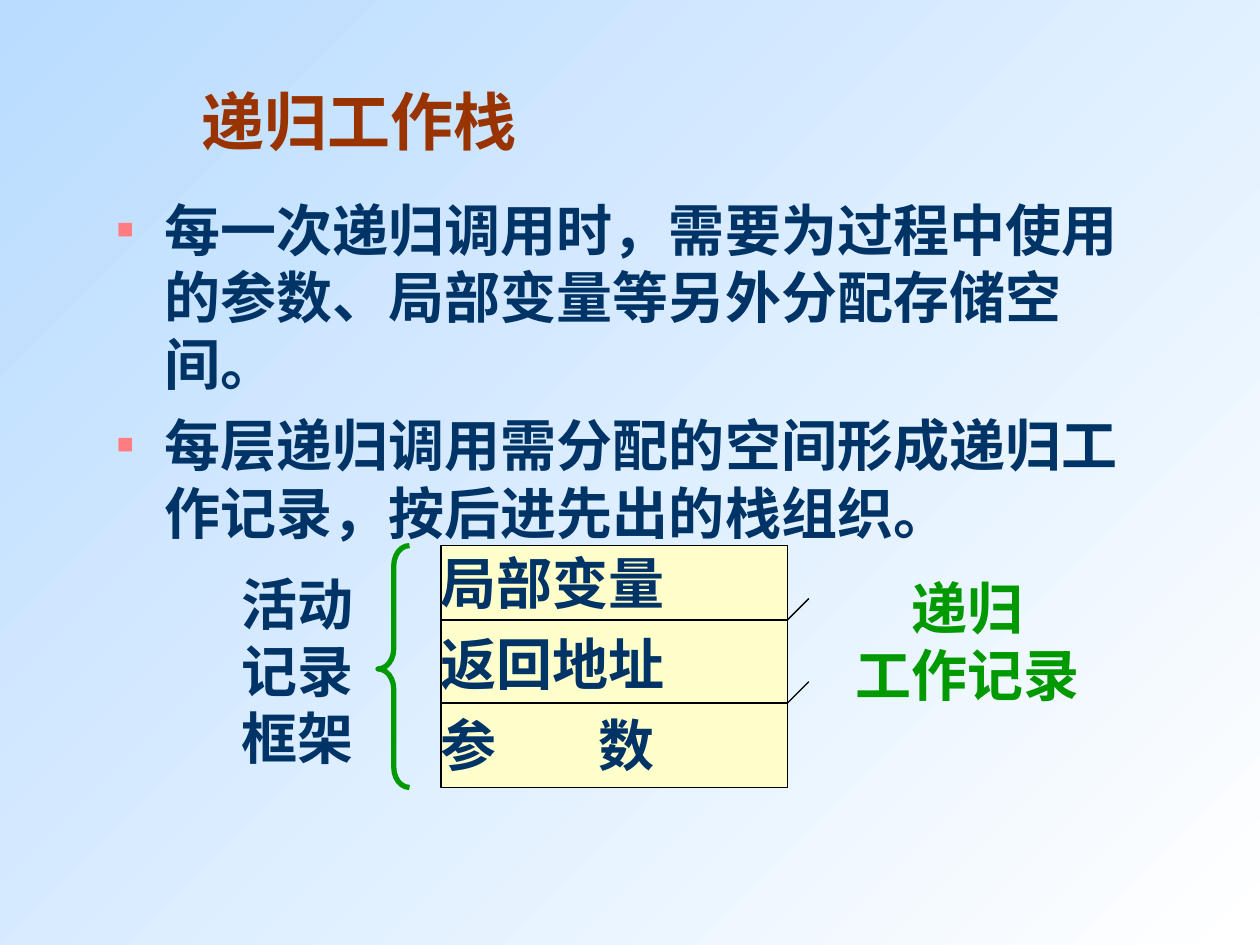
from dataclasses import dataclass

from lxml import etree
from pptx import Presentation
from pptx.dml.color import RGBColor
from pptx.enum.shapes import MSO_CONNECTOR, MSO_SHAPE
from pptx.enum.text import MSO_ANCHOR, PP_ALIGN
from pptx.oxml.ns import qn
from pptx.util import Inches, Pt

STRAIGHT = MSO_CONNECTOR.STRAIGHT
RECTANGLE, LEFT_BRACE = MSO_SHAPE.RECTANGLE, MSO_SHAPE.LEFT_BRACE
TOP, MIDDLE = MSO_ANCHOR.TOP, MSO_ANCHOR.MIDDLE
LEFT, CENTER = PP_ALIGN.LEFT, PP_ALIGN.CENTER


@dataclass(frozen=True)
class Theme:
    """Colours, font and sizes of the slide."""
    font: str = "Times New Roman"
    title_size: float = 36
    text_size: float = 32
    title: str = "993300"
    text: str = "003366"
    accent: str = "009900"
    bullet: str = "FF7C80"
    record: str = "FFFFCC"
    rule: str = "000000"
    sky: tuple = ("B9DCFF", "FFFFFF")
    rule_width: float = 0.75
    brace_width: float = 3


THEME = Theme()


def apply(target, values):
    """Set each attribute of target from a dict."""
    for name, value in values.items():
        setattr(target, name, value)


def add_child(parent, tag, **attributes):
    """Append a DrawingML child element."""
    return etree.SubElement(parent, qn(tag), attributes)


def set_bullet(paragraph):
    """Give a paragraph a small square bullet with a hanging indent."""
    props = paragraph._p.get_or_add_pPr()
    indent = Inches(0.38)
    props.set("marL", str(indent))
    props.set("indent", str(-indent))
    props.set("hangingPunct", "0")
    add_child(add_child(props, "a:buClr"), "a:srgbClr", val=THEME.bullet)
    add_child(props, "a:buSzPct", val="50000")
    add_child(props, "a:buFont", typeface=THEME.font)
    add_child(props, "a:buChar", char="■")


def set_tab(paragraph, position):
    """Add one left tab stop."""
    tabs = add_child(paragraph._p.get_or_add_pPr(), "a:tabLst")
    add_child(tabs, "a:tab", pos=str(position), algn="l")


def add_text(slide, box, lines, color=THEME.text, size=THEME.text_size,
             anchor=TOP, bullets=False, tab=None, gap=0, **layout):
    """Place bold paragraphs in a wrapping text box."""
    frame = slide.shapes.add_textbox(*map(Inches, box)).text_frame
    apply(frame, {"word_wrap": True, "vertical_anchor": anchor})
    for index, line in enumerate(lines):
        paragraph = frame.paragraphs[0] if index == 0 else frame.add_paragraph()
        if bullets:
            set_bullet(paragraph)
        if tab:
            set_tab(paragraph, Inches(tab))
        apply(paragraph, {"space_before": Pt(gap if index else 0), **layout})
        run = paragraph.add_run()
        run.text = line
        apply(run.font, {"name": THEME.font, "size": Pt(size), "bold": True})
        run.font.color.rgb = RGBColor.from_string(color)


def set_line(line, color, width):
    """Colour a line and set its width."""
    line.color.rgb = RGBColor.from_string(color)
    line.width = Pt(width)


def add_rule(slide, *ends):
    """Draw a thin straight line between two points."""
    rule = slide.shapes.add_connector(STRAIGHT, *map(Inches, ends))
    set_line(rule.line, THEME.rule, THEME.rule_width)
    add_child(rule._element.spPr, "a:effectLst")


def paint_background(slide):
    """Fill the background with a diagonal gradient."""
    fill = slide.background.fill
    fill.gradient()
    fill.gradient_angle = 315
    for stop, color in zip(fill.gradient_stops, THEME.sky):
        stop.color.rgb = RGBColor.from_string(color)


def add_record(slide, box, fields):
    """Draw the record with its field dividers, corner ticks and field names."""
    left, top, width, height = box
    right, tick = left + width, 0.17
    record = slide.shapes.add_shape(RECTANGLE, *map(Inches, box))
    record.shadow.inherit = False
    record.fill.solid()
    record.fill.fore_color.rgb = RGBColor.from_string(THEME.record)
    set_line(record.line, THEME.rule, THEME.rule_width)
    for offset in (0.59, 1.25):
        y = top + offset
        add_rule(slide, left, y, right, y)
        add_rule(slide, right, y, right + tick, y - tick)
    add_text(slide, (left - 0.1, top - 0.08, width + 0.12, height + 0.05),
             fields, tab=1.25, gap=4, line_spacing=1.1)


def add_brace(slide, box):
    """Draw the brace that spans the record."""
    brace = slide.shapes.add_shape(LEFT_BRACE, *map(Inches, box))
    brace.shadow.inherit = False
    brace.fill.background()
    brace.adjustments[0], brace.adjustments[1] = 0.64, 0.51
    set_line(brace.line, THEME.accent, THEME.brace_width)


def add_work_record(slide, box):
    """Place the record with its frame label, brace and caption."""
    left, top, width, height = box
    add_record(slide, (left + 1.68, top, 2.75, height),
               ["局部变量", "返回地址", "参\t数"])
    add_brace(slide, (left + 1.18, top, 0.25, height))
    add_text(slide, (left, top + 0.14, 1.18, 1.7), ["活动记录框架"])
    add_text(slide, (left + width - 1.98, top + 0.17, 1.98, 1.17),
             ["递归", "工作记录"], color=THEME.accent, alignment=CENTER)


def add_heading(slide, box):
    """Place the slide title."""
    add_text(slide, box, ["递归工作栈"], color=THEME.title,
             size=THEME.title_size, anchor=MIDDLE, alignment=LEFT)


def add_points(slide, box):
    """Place the bulleted explanation."""
    add_text(slide, box, [
        "每一次递归调用时，需要为过程中使用的参数、局部变量等另外分配存储空间。",
        "每层递归调用需分配的空间形成递归工作记录，按后进先出的栈组织。",
    ], bullets=True, gap=8)


def main():
    """Build and save the slide."""
    deck = Presentation()
    apply(deck, {"slide_width": Inches(10), "slide_height": Inches(7.5)})
    slide = deck.slides.add_slide(deck.slide_layouts[6])
    paint_background(slide)
    add_heading(slide, (1.5, 0.58, 6.67, 0.75))
    add_points(slide, (0.83, 1.5, 8.5, 5.67))
    add_work_record(slide, (1.82, 4.33, 6.85, 1.92))
    deck.save("out.pptx")


if __name__ == "__main__":
    main()
